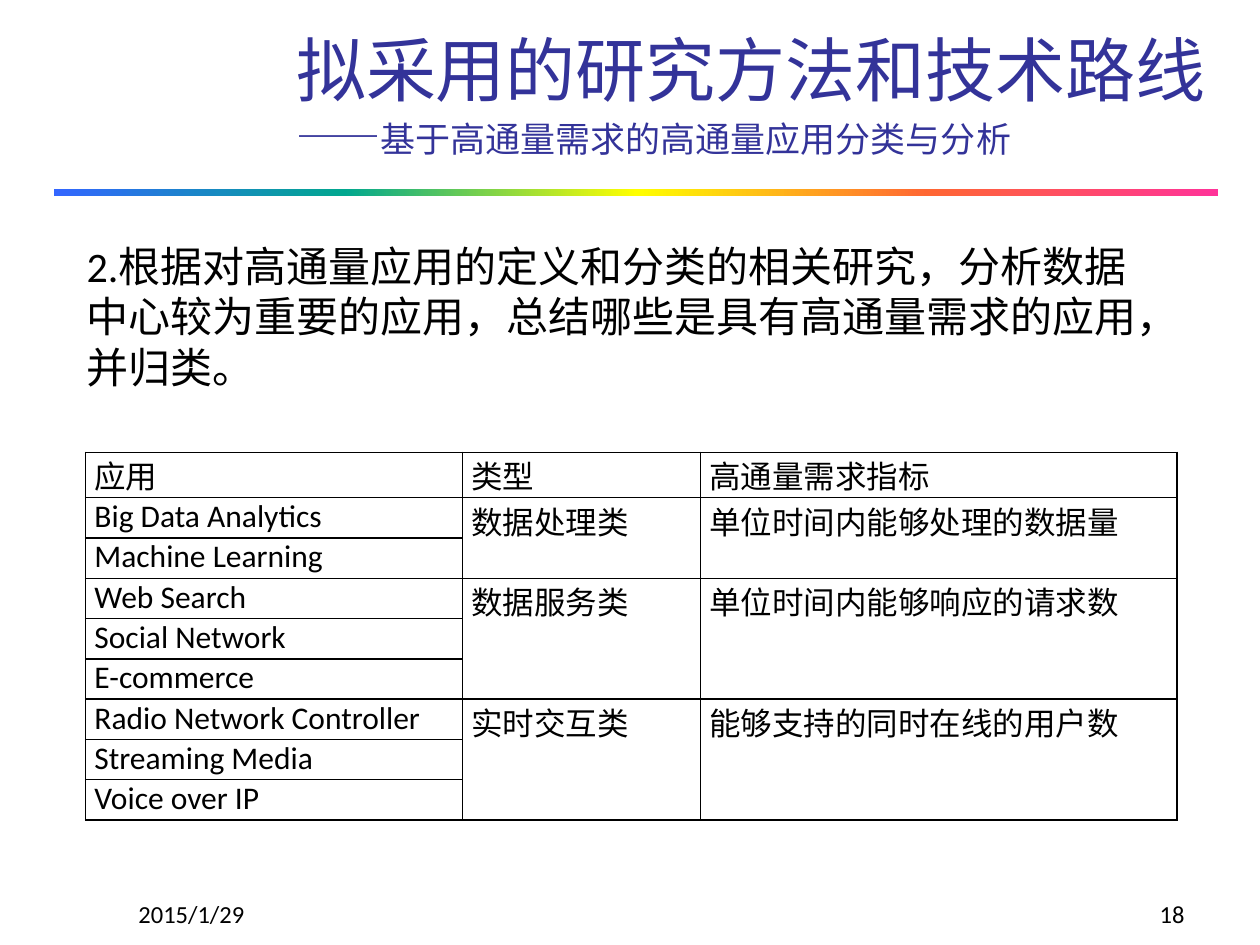
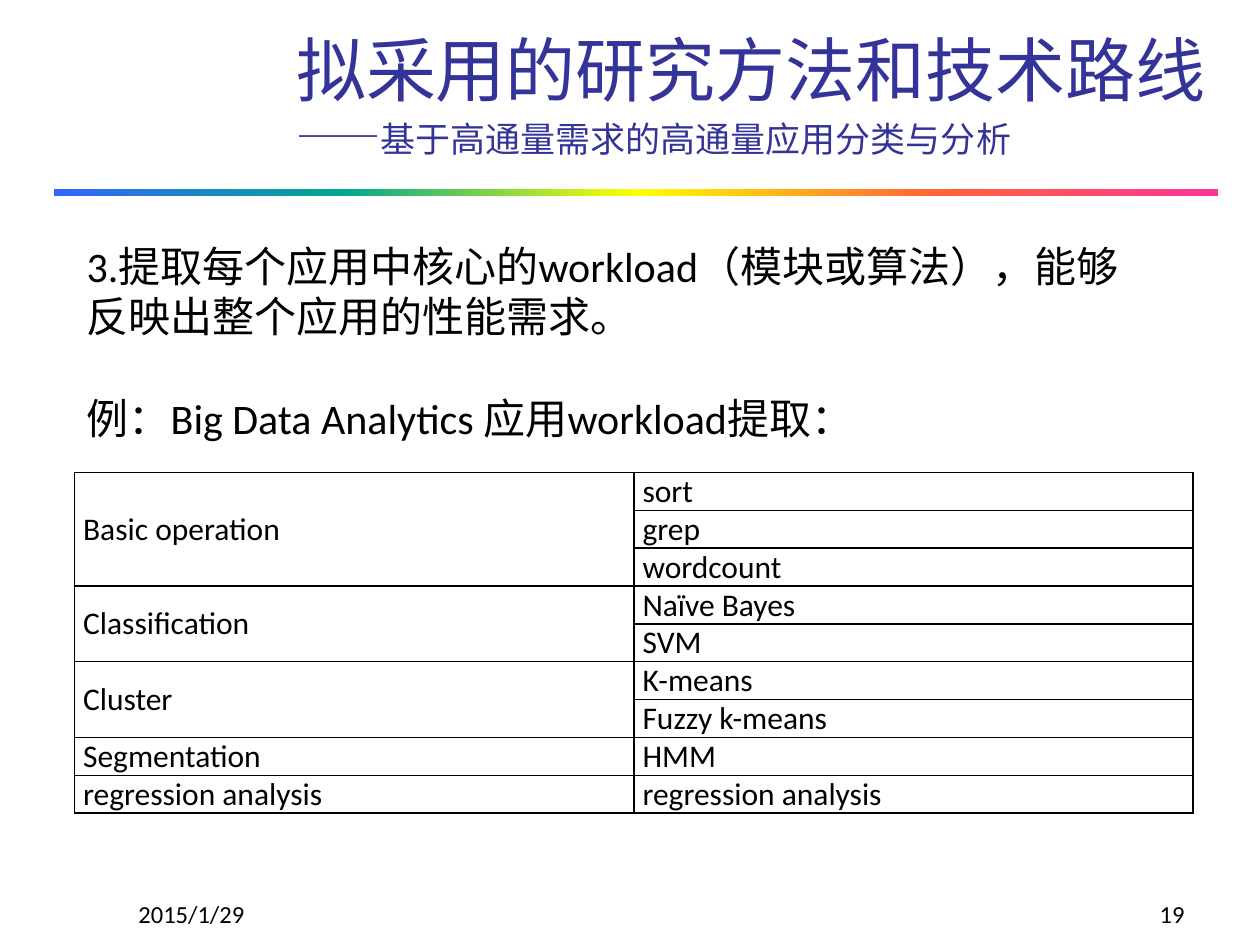
"""Build two slides on classifying high-throughput applications and extracting workloads."""
from copy import deepcopy

from lxml.etree import SubElement
from pptx import Presentation
from pptx.dml.color import RGBColor
from pptx.enum.shapes import MSO_SHAPE
from pptx.enum.text import MSO_ANCHOR, MSO_AUTO_SIZE, PP_ALIGN
from pptx.oxml.ns import qn
from pptx.util import Inches, Pt

NAVY = RGBColor(0x33, 0x33, 0x99)
BLACK = RGBColor(0, 0, 0)
WHITE = RGBColor(255, 255, 255)
RAINBOW = [
    RGBColor(0x33, 0x66, 0xFF),
    RGBColor(0x01, 0xA7, 0x8F),
    RGBColor(0xFF, 0xFF, 0x00),
    RGBColor(0xFF, 0x66, 0x33),
    RGBColor(0xFF, 0x33, 0x99),
]
TITLE_FONT = "Cabin"
BODY_FONT = "Calibri"

TITLE = "拟采用的研究方法和技术路线"
SUBTITLE_RUNS = [("——", 24), ("基于高通量需求的高通量应用分类与分析", 20)]
DATE = "2015/1/29"

SLIDES = [
    {
        "number": 18,
        "body_box": (0.59, 1.86, 8.74, 1.31),
        "body": ["2.根据对高通量应用的定义和分类的相关研究，分析数据中心较为重要的应用，"
                 "总结哪些是具有高通量需求的应用，并归类。"],
        "table_corner": (0.68, 3.59),
        "columns": [2.99, 1.89, 3.78],
        "row_heights": [0.36] + [0.32] * 8,
        "anchor": MSO_ANCHOR.TOP,
        "rows": [
            ("应用", "类型", "高通量需求指标"),
            ("Big Data Analytics", "数据处理类", "单位时间内能够处理的数据量"),
            ("Machine Learning", None, None),
            ("Web Search", "数据服务类", "单位时间内能够响应的请求数"),
            ("Social Network", None, None),
            ("E-commerce", None, None),
            ("Radio Network Controller", "实时交互类", "能够支持的同时在线的用户数"),
            ("Streaming Media", None, None),
            ("Voice over IP", None, None),
        ],
    },
    {
        "number": 19,
        "body_box": (0.59, 1.86, 8.5, 1.72),
        "body": ["3.提取每个应用中核心的workload（模块或算法），能够反映出整个应用的性能需求。",
                 "例：Big Data Analytics 应用workload提取："],
        "table_corner": (0.59, 3.75),
        "columns": [4.44, 4.44],
        "row_heights": [0.3] * 9,
        "anchor": MSO_ANCHOR.MIDDLE,
        "rows": [
            ("Basic operation", "sort"),
            (None, "grep"),
            (None, "wordcount"),
            ("Classification", "Naïve Bayes"),
            (None, "SVM"),
            ("Cluster", "K-means"),
            (None, "Fuzzy k-means"),
            ("Segmentation", "HMM"),
            ("regression analysis", "regression analysis"),
        ],
    },
]


def add_run(paragraph, text, size, font=BODY_FONT, color=BLACK):
    run = paragraph.add_run()
    run.text = text
    run.font.size = Pt(size)
    run.font.name = font
    run.font.color.rgb = color
    return run


def add_solid_fill(parent, color):
    fill = SubElement(parent, qn("a:solidFill"))
    SubElement(fill, qn("a:srgbClr"), val=str(color))


def add_title(slide):
    title = slide.shapes.title
    title.left, title.top = Inches(2.25), Inches(0.08)
    title.width, title.height = Inches(7.53), Inches(1.25)
    frame = title.text_frame
    frame.auto_size = MSO_AUTO_SIZE.NONE
    frame.vertical_anchor = MSO_ANCHOR.BOTTOM
    paragraph = frame.paragraphs[0]
    paragraph.alignment = PP_ALIGN.LEFT
    heading = add_run(paragraph, TITLE, 40, TITLE_FONT, NAVY)
    paragraph.add_line_break()
    line_break = paragraph._p.find(qn("a:br"))
    line_break.append(deepcopy(heading._r.rPr))
    for text, size in SUBTITLE_RUNS:
        add_run(paragraph, text, size, TITLE_FONT, NAVY)


def add_rainbow_band(slide):
    band = slide.shapes.add_shape(
        MSO_SHAPE.RECTANGLE, Inches(0.43), Inches(1.5), Inches(9.24), Inches(0.06))
    band.shadow.inherit = False
    band.line.fill.background()
    band.fill.gradient()
    band.fill.gradient_angle = 0
    stops = band._element.spPr.find(qn("a:gradFill")).find(qn("a:gsLst"))
    for stop in list(stops):
        stops.remove(stop)
    for index, color in enumerate(RAINBOW):
        position = 100000 * index // (len(RAINBOW) - 1)
        stop = SubElement(stops, qn("a:gs"), pos=str(position))
        SubElement(stop, qn("a:srgbClr"), val=str(color))


def add_text(slide, box, texts, size, alignment=PP_ALIGN.LEFT, anchor=MSO_ANCHOR.TOP):
    shape = slide.shapes.add_textbox(*[Inches(length) for length in box])
    frame = shape.text_frame
    frame.word_wrap = True
    frame.vertical_anchor = anchor
    for index, text in enumerate(texts):
        paragraph = frame.add_paragraph() if index else frame.paragraphs[0]
        paragraph.alignment = alignment
        if index:
            paragraph.space_before = Pt(29)
        add_run(paragraph, text, size)


def format_cell(cell, anchor):
    cell.margin_left = cell.margin_right = Inches(0.07)
    cell.margin_top = cell.margin_bottom = 0
    cell.vertical_anchor = anchor
    properties = cell._tc.get_or_add_tcPr()
    for side in ("lnL", "lnR", "lnT", "lnB"):
        border = SubElement(properties, qn(f"a:{side}"), w=str(Pt(1)))
        add_solid_fill(border, BLACK)
    cell.fill.solid()
    cell.fill.fore_color.rgb = WHITE


def add_grid(slide, content):
    rows, columns, heights = content["rows"], content["columns"], content["row_heights"]
    left, top = content["table_corner"]
    table = slide.shapes.add_table(
        len(rows), len(columns), Inches(left), Inches(top),
        Inches(sum(columns)), Inches(sum(heights))).table
    table.first_row = table.horz_banding = False
    for column, width in zip(table.columns, columns):
        column.width = Inches(width)
    for row, height in zip(table.rows, heights):
        row.height = Inches(height)
    for column_index in range(len(columns)):
        start = 0
        for row_index, values in enumerate(rows):
            cell = table.cell(row_index, column_index)
            format_cell(cell, content["anchor"])
            text = values[column_index]
            if text is not None:
                start = row_index
                paragraph = cell.text_frame.paragraphs[0]
                paragraph.alignment = PP_ALIGN.JUSTIFY
                add_run(paragraph, text, 18)
            next_row = row_index + 1
            group_ends = next_row == len(rows) or rows[next_row][column_index] is not None
            if group_ends and row_index > start:
                table.cell(start, column_index).merge(cell)


def add_footer(slide, number):
    add_text(slide, (1, 6.92, 2.08, 0.5), [DATE], 14, anchor=MSO_ANCHOR.BOTTOM)
    add_text(slide, (7.42, 6.92, 2.08, 0.5), [str(number)], 14,
             PP_ALIGN.RIGHT, MSO_ANCHOR.BOTTOM)


presentation = Presentation()
presentation.slide_width = Inches(10)
presentation.slide_height = Inches(7.5)
title_only = presentation.slide_layouts[5]

for content in SLIDES:
    slide = presentation.slides.add_slide(title_only)
    add_rainbow_band(slide)
    add_title(slide)
    add_text(slide, content["body_box"], content["body"], 24)
    add_grid(slide, content)
    add_footer(slide, content["number"])

presentation.save("out.pptx")
